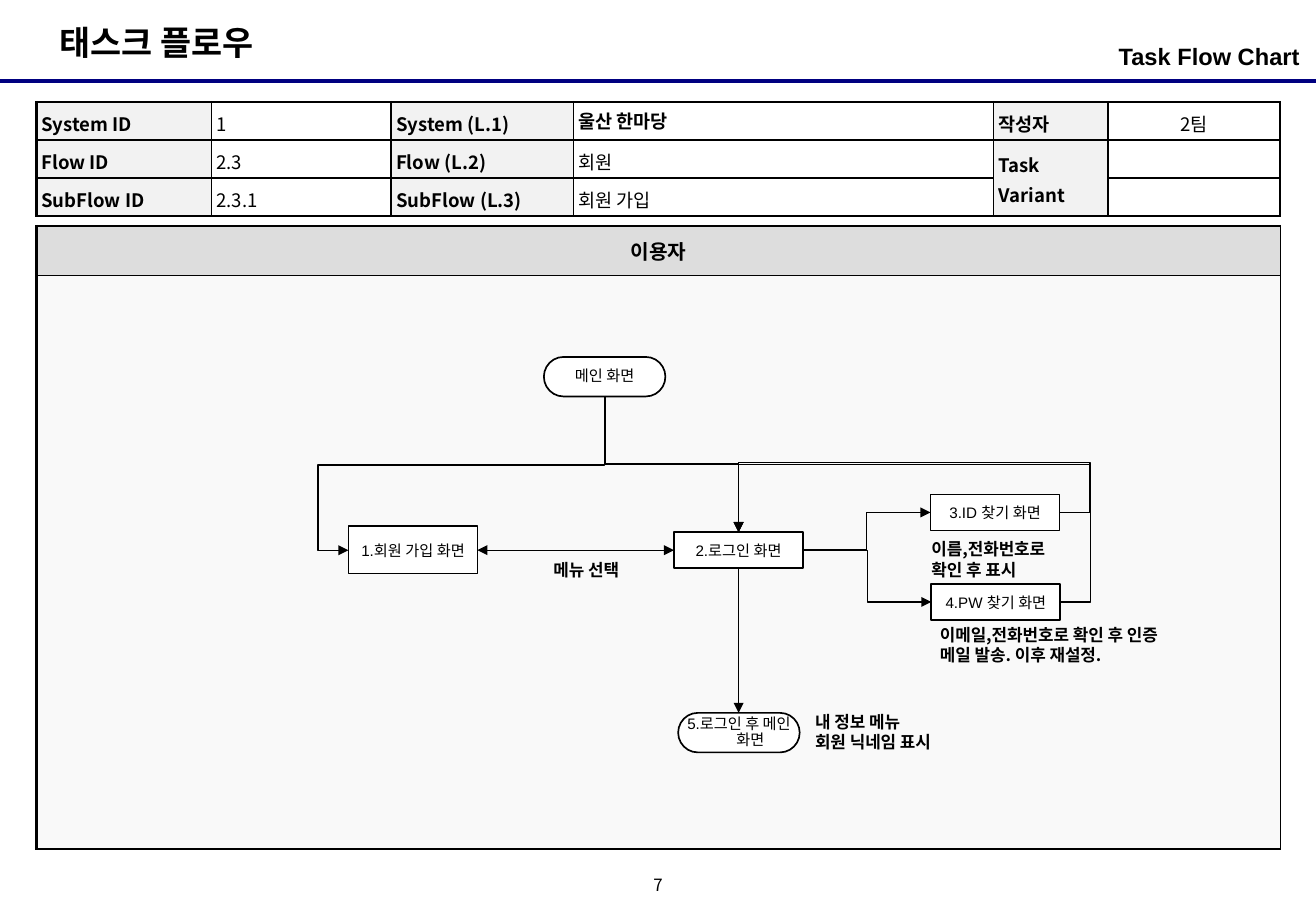
from lxml import etree
from pptx import Presentation
from pptx.dml.color import RGBColor
from pptx.enum import shapes, text
from pptx.oxml import ns
from pptx.util import Pt

COLORS = {"ink": "000000", "rule": "000080", "paper": "FFFFFF",
          "label": "F2F2F2", "header": "DDDDDD", "canvas": "F9F9F9"}
RGB = {name: RGBColor.from_string(value) for name, value in COLORS.items()}
KOREAN = "Noto Sans CJK KR"
LEFT, CENTER, RIGHT = text.PP_ALIGN.LEFT, text.PP_ALIGN.CENTER, text.PP_ALIGN.RIGHT
TOP, MIDDLE = text.MSO_ANCHOR.TOP, text.MSO_ANCHOR.MIDDLE


def write(frame, lines, size, bold=False, align=LEFT, font=KOREAN, spacing=None):
    for index, line in enumerate(lines):
        paragraph = frame.add_paragraph() if index else frame.paragraphs[0]
        paragraph.alignment = align
        paragraph.line_spacing = spacing
        run = paragraph.add_run()
        run.text = line
        run.font.size, run.font.bold, run.font.name = Pt(size), bold, font
        run.font.color.rgb = RGB["ink"]
        east_asian = etree.SubElement(run.font._element, ns.qn("a:ea"))
        east_asian.set("typeface", KOREAN)


def style_cell(cell, fill, widths):
    """Fill a cell and draw its left, right, top and bottom borders."""
    cell.fill.solid()
    cell.fill.fore_color.rgb = RGB[fill]
    properties = cell._tc.get_or_add_tcPr()
    for index, (side, width) in enumerate(zip("LRTB", widths)):
        border = etree.Element(ns.qn(f"a:ln{side}"), w=str(Pt(width)))
        solid = etree.SubElement(border, ns.qn("a:solidFill"))
        etree.SubElement(solid, ns.qn("a:srgbClr"), val=COLORS["ink"])
        properties.insert(index, border)


presentation = Presentation()
presentation.slide_width, presentation.slide_height = Pt(780), Pt(540)
slide = presentation.slides.add_slide(presentation.slide_layouts[5])

# Title and header rule
title = slide.shapes.title
title.left, title.top, title.width, title.height = Pt(28.1), Pt(9.4), Pt(142.6), Pt(31.7)
title.text_frame.word_wrap = False
title.text_frame.auto_size = text.MSO_AUTO_SIZE.SHAPE_TO_FIT_TEXT
title.text_frame.vertical_anchor = TOP
write(title.text_frame, ["태스크 플로우"], 20, True)

# Information table
info_rows = [
    ["System ID", "1", "System (L.1)", "울산 한마당", "작성자", "2팀"],
    ["Flow ID", "2.3", "Flow (L.2)", "회원", "Task Variant", ""],
    ["SubFlow ID", "2.3.1", "SubFlow (L.3)", "회원 가입", "", ""],
]
column_widths = [103.7, 106.6, 108, 249.1, 67.7, 102.2]
info = slide.shapes.add_table(3, 6, Pt(21.6), Pt(60.5), Pt(737.3), Pt(67.5)).table
for column, width in zip(info.columns, column_widths):
    column.width = Pt(width)
info.cell(1, 4).merge(info.cell(2, 4))
for r, values in enumerate(info_rows):
    info.rows[r].height = Pt(22.5)
    for c, value in enumerate(values):
        cell = info.cell(r, c)
        is_label = c % 2 == 0
        cell.margin_left = cell.margin_right = cell.margin_top = cell.margin_bottom = Pt(2.9)
        cell.vertical_anchor = MIDDLE if c >= 4 else TOP
        if value:
            write(cell.text_frame, [value], 11, is_label or value == "울산 한마당",
                  CENTER if c == 5 else LEFT, spacing=None if (r, c) == (0, 3) else 1.1)
        else:
            etree.SubElement(cell.text_frame.paragraphs[0]._p, ns.qn("a:endParaRPr"), sz="1100")
        style_cell(cell, "label" if is_label else "paper",
                   [1.5 if c == 0 else 1, 1.5 if c == 5 else 1,
                    1.5 if r == 0 or (r == 1 and c >= 4) else 1,
                    1.5 if r == 2 or (r == 0 and c >= 4) else 1])

# Swimlane
lane = slide.shapes.add_table(2, 1, Pt(21.6), Pt(133.9), Pt(737.3), Pt(369.3)).table
lane.rows[0].height, lane.rows[1].height = Pt(29.5), Pt(339.8)
lane.cell(0, 0).vertical_anchor = MIDDLE
write(lane.cell(0, 0).text_frame, ["이용자"], 12, True, CENTER)
style_cell(lane.cell(0, 0), "header", [1.5, 0.75, 1.5, 0.75])
style_cell(lane.cell(1, 0), "canvas", [1.5, 0.75, 0.75, 1.5])

# Flow steps: kind, left, top, width, height, wording
TERMINATOR, SCREEN = shapes.MSO_SHAPE.FLOWCHART_TERMINATOR, shapes.MSO_SHAPE.RECTANGLE
steps = {
    "main": (TERMINATOR, 322.4, 211.6, 72, 23.4, "메인 화면"),
    "member": (TERMINATOR, 402, 422.6, 72, 23.4, "5.로그인 후 메인 화면"),
    "signup": (SCREEN, 206.5, 312, 76.5, 28, "1.회원 가입 화면"),
    "login": (SCREEN, 399.5, 315.5, 76.5, 21.3, "2.로그인 화면"),
    "password": (SCREEN, 552, 346.2, 76.5, 21.3, "4.PW 찾기 화면"),
    "id": (SCREEN, 551.5, 293.2, 76.5, 21.3, "3.ID 찾기 화면"),
}
boxes = {}
for name, (kind, left, top, width, height, wording) in steps.items():
    shape = boxes[name] = slide.shapes.add_shape(kind, Pt(left), Pt(top), Pt(width), Pt(height))
    shape.shadow.inherit = False
    shape.fill.solid()
    shape.fill.fore_color.rgb = RGB["paper"]
    shape.line.color.rgb, shape.line.width = RGB["ink"], Pt(1)
    frame = shape.text_frame
    frame.word_wrap, frame.vertical_anchor = True, MIDDLE
    frame.margin_left = frame.margin_right = Pt(1.4)
    frame.margin_top = frame.margin_bottom = 0
    rounded = kind == TERMINATOR
    write(frame, [wording], 9, False, CENTER, "Arial", 0.9 if rounded else None)
    if rounded:
        indent = frame.paragraphs[0]._p.get_or_add_pPr()
        indent.set("marL", str(Pt(13.5)))
        indent.set("indent", str(Pt(-13.5)))

# Arrows: start, site, end, site, frame, rotation, flips, bend positions in percent
BOX_TOP, BOX_LEFT, BOX_BOTTOM, BOX_RIGHT = range(4)
arrows = [
    ("main", BOX_BOTTOM, "login", BOX_TOP, (357.9, 235.4, 80.6, 79.2), 270, "h", [50]),
    ("main", BOX_BOTTOM, "signup", BOX_LEFT, (236.9, 204.6, 91.2, 151.9), 90, "", [44.6, 111.9]),
    ("login", BOX_RIGHT, "id", BOX_LEFT, (476, 303.8, 75.5, 22.3), 0, "v", [50]),
    ("password", BOX_RIGHT, "login", BOX_TOP, (437.8, 315.5, 190.5, 41.3), 0, "hv", [-9.5, 197.4]),
    ("id", BOX_RIGHT, "login", BOX_TOP, (437.8, 303.8, 190.2, 11.7), 0, "h", [-9.5, -253.4]),
    ("login", BOX_RIGHT, "password", BOX_LEFT, (476, 326.1, 76, 30.7), 0, "", [50]),
    ("login", BOX_BOTTOM, "member", BOX_TOP, (437.8, 336.8, 0, 85.8), 0, "", []),
    ("signup", BOX_RIGHT, "login", BOX_LEFT, (283, 326.1, 116.5, 0), 0, "", []),
]
for start, start_site, end, end_site, place, rotation, flips, bends in arrows:
    kind = shapes.MSO_CONNECTOR.ELBOW if bends else shapes.MSO_CONNECTOR.STRAIGHT
    arrow = slide.shapes.add_connector(kind, 0, 0, 0, 0)
    arrow.begin_connect(boxes[start], start_site)
    arrow.end_connect(boxes[end], end_site)
    arrow.left, arrow.top, arrow.width, arrow.height = map(Pt, place)
    arrow.line.color.rgb, arrow.line.width = RGB["ink"], Pt(0.75)
    properties = arrow._element.spPr
    transform = properties.find(ns.qn("a:xfrm"))
    transform.set("rot", str(rotation * 60000))
    transform.set("flipH", str(int("h" in flips)))
    transform.set("flipV", str(int("v" in flips)))
    geometry = properties.find(ns.qn("a:prstGeom"))
    if bends:
        geometry.set("prst", f"bentConnector{len(bends) + 2}")
    for number, bend in enumerate(bends, 1):
        etree.SubElement(geometry.find(ns.qn("a:avLst")), ns.qn("a:gd"),
                         name=f"adj{number}", fmla=f"val {round(bend * 1000)}")
    line = arrow.line._get_or_add_ln()
    if start == "signup":
        etree.SubElement(line, ns.qn("a:headEnd"), type="triangle")
    etree.SubElement(line, ns.qn("a:tailEnd"), type="triangle")
    etree.SubElement(properties, ns.qn("a:effectLst"))

rule = slide.shapes.add_connector(shapes.MSO_CONNECTOR.STRAIGHT, 0, Pt(48.2), Pt(780), Pt(48.2))
rule.line.color.rgb, rule.line.width = RGB["rule"], Pt(2.25)
etree.SubElement(rule._element.spPr, ns.qn("a:effectLst"))

# Notes and labels: left, top, width, height, lines, size, bold, alignment, font, side inset
labels = [
    (476, 418.3, 96, 31.7, ["내 정보 메뉴", "회원 닉네임 표시"], 10, True, LEFT, KOREAN, 7.2),
    (545, 316, 96, 31.7, ["이름,전화번호로 확인 후 표시"], 10, True, LEFT, KOREAN, 7.2),
    (299.5, 328.3, 96, 19.4, ["메뉴 선택"], 10, True, CENTER, KOREAN, 7.2),
    (550, 366.5, 152, 31.7, ["이메일,전화번호로 확인 후 인증 메일 발송. 이후 재설정."],
     10, True, LEFT, KOREAN, 7.2),
    (532, 21.5, 238.4, 28, ["Task Flow Chart"], 14, True, RIGHT, "Arial", 0),
    (378, 515, 24, 18, ["7"], 10, False, CENTER, KOREAN, 0),
]
for left, top, width, height, lines, size, bold, align, font, inset in labels:
    frame = slide.shapes.add_textbox(Pt(left), Pt(top), Pt(width), Pt(height)).text_frame
    frame.word_wrap = True
    frame.margin_left = frame.margin_right = Pt(inset)
    write(frame, lines, size, bold, align, font)

presentation.save("out.pptx")
